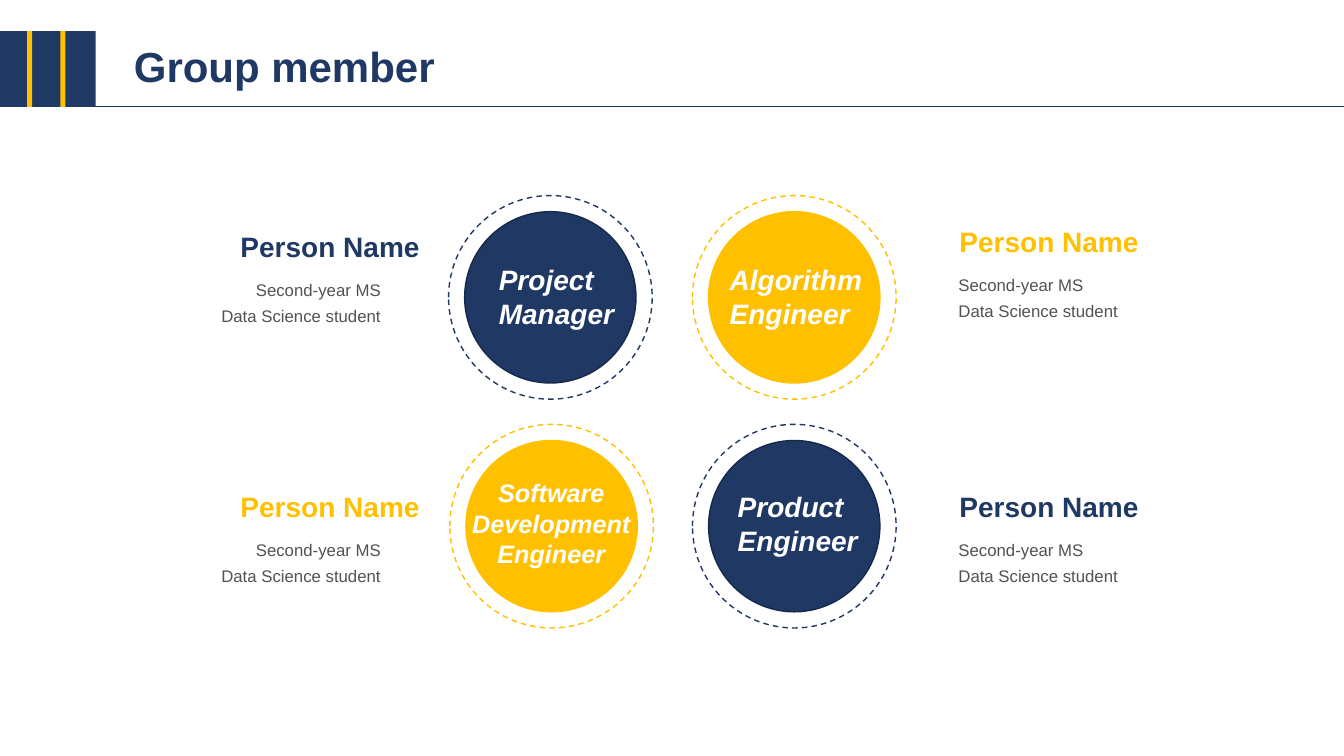
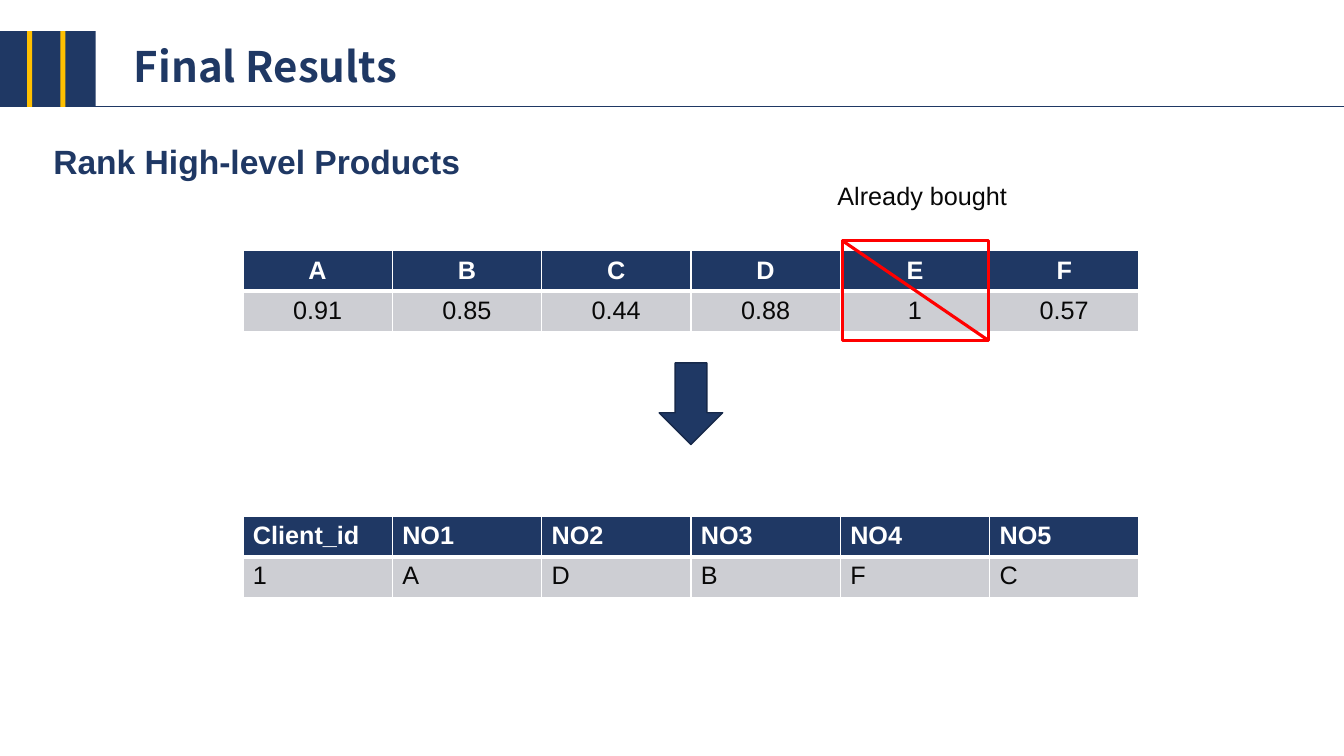
from dataclasses import dataclass

from pptx import Presentation
from pptx.dml.color import RGBColor as RGB
from pptx.enum.dml import MSO_LINE_DASH_STYLE as Dash
from pptx.enum.shapes import MSO_CONNECTOR as Connector, MSO_SHAPE as Preset
from pptx.enum.text import MSO_ANCHOR as Anchor, PP_ALIGN as Align
from pptx.oxml.ns import qn
from pptx.util import Inches, Pt
from lxml.etree import SubElement

COLUMNS, ROWS = 160, 90
CELL = Inches(1 / 12)


@dataclass(frozen=True)
class Theme:
    navy: str = "1F3864"
    navy_edge: str = "17294A"
    gold: str = "FFC000"
    red: str = "FF0000"
    white: str = "FFFFFF"
    ink: str = "080808"
    soft_ink: str = "525252"
    table_body: str = "CDCED3"
    font: str = "Arial"
    title_font: str = "Noto Sans CJK SC"
    title: int = 30
    heading: int = 24
    name: int = 20
    body: int = 18
    bio: int = 12


THEME = Theme()


def grid(*cells):
    """Turn grid columns and rows into slide lengths."""
    return [round(cell * CELL) for cell in cells]


class Deck:
    def __init__(self):
        self.file = Presentation()
        self.file.slide_width, self.file.slide_height = grid(COLUMNS, ROWS)
        self.shapes = None

    def new_slide(self, title, title_font=THEME.font):
        """Add a slide with the striped band, the rule and the title."""
        self.shapes = self.file.slides.add_slide(self.file.slide_layouts[6]).shapes
        band_top, band_height = 3.72, 9
        band_bottom = band_top + band_height
        self.shape(Preset.RECTANGLE, (0, band_top, 11.4, band_height), fill=THEME.navy)
        self.line((0, band_bottom), (COLUMNS, band_bottom), THEME.navy, 0.5)
        for stripe_left in (3.24, 7.2):
            self.shape(Preset.RECTANGLE, (stripe_left, band_top, 0.6, band_height), fill=THEME.gold)
        self.text(title, (14.76, 4.8, 79.8, 6.72), THEME.title, THEME.navy, bold=True,
                  font=title_font, spacing=0.9, anchor=Anchor.MIDDLE)

    def shape(self, preset, box, fill=None, edge=None, weight=1, dash=None, into=None):
        shape = (into or self.shapes).add_shape(preset, *grid(*box))
        shape.shadow.inherit = False
        if fill:
            shape.fill.solid()
            shape.fill.fore_color.rgb = RGB.from_string(fill)
        else:
            shape.fill.background()
        if edge:
            shape.line.color.rgb = RGB.from_string(edge)
            shape.line.width = Pt(weight)
            if dash:
                shape.line.dash_style = dash
        else:
            shape.line.fill.background()

    def line(self, start, end, color, weight):
        line = self.shapes.add_connector(Connector.STRAIGHT, *grid(*start, *end))
        line.line.color.rgb = RGB.from_string(color)
        line.line.width = Pt(weight)
        SubElement(line._element.spPr, qn("a:effectLst"))

    def text(self, words, box, size, color, bold=False, italic=False, font=THEME.font,
             align=Align.LEFT, spacing=None, anchor=Anchor.TOP, wrap=True, into=None):
        frame = (into or self.shapes).add_textbox(*grid(*box)).text_frame
        frame.word_wrap = wrap
        frame.vertical_anchor = anchor
        frame.text = words
        for paragraph in frame.paragraphs:
            self.style(paragraph, size, color, bold, italic, font, align, spacing)

    def style(self, paragraph, size, color, bold=False, italic=False, font=THEME.font,
              align=Align.LEFT, spacing=None):
        paragraph.alignment = align
        if spacing:
            paragraph.line_spacing = spacing
        for run in paragraph.runs:
            run.font.name, run.font.size = font, Pt(size)
            run.font.bold, run.font.italic = bold, italic
            run.font.color.rgb = RGB.from_string(color)

    def badge(self, center, color, role, role_box, size, align):
        """Group a filled disc, its dashed ring and the role written on it."""
        group = self.shapes.add_group_shape().shapes
        edge = THEME.navy_edge if color == THEME.navy else color
        disc, ring = 20.4, 24.24
        for width, look in ((disc, dict(fill=color, edge=edge)),
                            (ring, dict(edge=color, dash=Dash.DASH))):
            box = (center[0] - width / 2, center[1] - width / 2, width, width)
            self.shape(Preset.OVAL, box, into=group, **look)
        self.text(role, role_box, size, THEME.white, bold=True, italic=True,
                  align=align, into=group)

    def person(self, left, top, color, on_left):
        """Write a name and, below it, a bio aligned towards the badge."""
        self.text("Person Name", (left, top, 24, 5.28), THEME.name, color, bold=True,
                  align=Align.CENTER if on_left else Align.LEFT, wrap=False)
        bio_left = left - 11.85 if on_left else left - 0.12
        self.text("Second-year MS\nData Science student", (bio_left, top + 5.2, 31.08, 7.2),
                  THEME.bio, THEME.soft_ink, spacing=1.3,
                  align=Align.RIGHT if on_left else Align.LEFT)

    def table(self, rows, left, top, column, row, align, anchor):
        box = grid(left, top, column * len(rows[0]), row * len(rows))
        table = self.shapes.add_table(len(rows), len(rows[0]), *box).table
        table.horz_banding = False
        for r, values in enumerate(rows):
            header = r == 0
            for c, value in enumerate(values):
                cell = table.cell(r, c)
                edges = dict(lnL=1, lnR=1, lnT=1 if header else 3, lnB=3 if header else 1)
                self.cell_borders(cell, edges)
                cell.fill.solid()
                cell.fill.fore_color.rgb = RGB.from_string(
                    THEME.navy if header else THEME.table_body)
                cell.vertical_anchor = anchor
                cell.text_frame.text = value
                self.style(cell.text_frame.paragraphs[0], THEME.body,
                           THEME.white if header else THEME.ink, bold=header, align=align)

    def cell_borders(self, cell, edges):
        properties = cell._tc.get_or_add_tcPr()
        for edge, weight in edges.items():
            border = SubElement(properties, qn(f"a:{edge}"), w=str(Pt(weight)))
            fill = SubElement(border, qn("a:solidFill"))
            SubElement(fill, qn("a:srgbClr"), val=THEME.white)


def members_slide(deck):
    deck.new_slide("Group member")
    left, right, upper, lower = 65.52, 94.56, 35.4, 62.64
    navy, gold = THEME.navy, THEME.gold
    badges = (
        ((left, upper), navy, "Project Manager", (58.2, 30.72, 19.08, 9.24), THEME.name, Align.LEFT),
        ((right, upper), gold, "Algorithm Engineer", (85.68, 30.72, 19.08, 9.24), THEME.name,
         Align.LEFT),
        ((left + 0.15, lower), gold, "Software\nDevelopment\nEngineer", (53.88, 56.28, 23.52, 12.12),
         THEME.body, Align.CENTER),
        ((right, lower), navy, "Product Engineer", (86.64, 57.72, 19.08, 9.24), THEME.name,
         Align.LEFT),
    )
    for badge in badges:
        deck.badge(*badge)
    names_left, names_right, names_lower = 27.3, 113.04, 57.72
    deck.person(names_left, 26.76, navy, on_left=True)
    deck.person(names_left, names_lower, gold, on_left=True)
    deck.person(names_right, names_lower, navy, on_left=False)
    deck.person(names_right, 26.16, gold, on_left=False)


def results_slide(deck):
    deck.new_slide("Final Results", THEME.title_font)
    deck.text("Rank High-level Products", (5.16, 16.68, 85.44, 5.52), THEME.heading,
              THEME.navy, bold=True, spacing=0.9, anchor=Anchor.MIDDLE)
    left, column, row = 28.92, 17.78, 4.86
    scores = (("A", "B", "C", "D", "E", "F"),
              ("0.91", "0.85", "0.44", "0.88", "1", "0.57"))
    ranking = (("Client_id", "NO1", "NO2", "NO3", "NO4", "NO5"),
               ("1", "A", "D", "B", "F", "C"))
    deck.table(scores, left, 29.76, column, row, Align.CENTER, Anchor.MIDDLE)
    deck.table(ranking, left, 61.44, column, row, Align.LEFT, Anchor.TOP)

    bought_x, bought_y, bought_width, bought_height = 100.32, 28.68, 17.4, 11.88
    deck.shape(Preset.RECTANGLE, (bought_x, bought_y, bought_width, bought_height),
               edge=THEME.red, weight=2.25)
    deck.line((bought_x, bought_y), (bought_x + bought_width, bought_y + bought_height),
              THEME.red, 2.25)
    deck.text("Already bought", (98.52, 20.88, 31.32, 4.8), THEME.body, THEME.ink)

    arrow_width = 7.56
    tables_middle = left + column * len(scores[0]) / 2
    deck.shape(Preset.DOWN_ARROW, (tables_middle - arrow_width / 2, 43.2, arrow_width, 9.72),
               fill=THEME.navy, edge=THEME.navy_edge)


def main():
    deck = Deck()
    members_slide(deck)
    results_slide(deck)
    deck.file.save("out.pptx")


if __name__ == "__main__":
    main()
